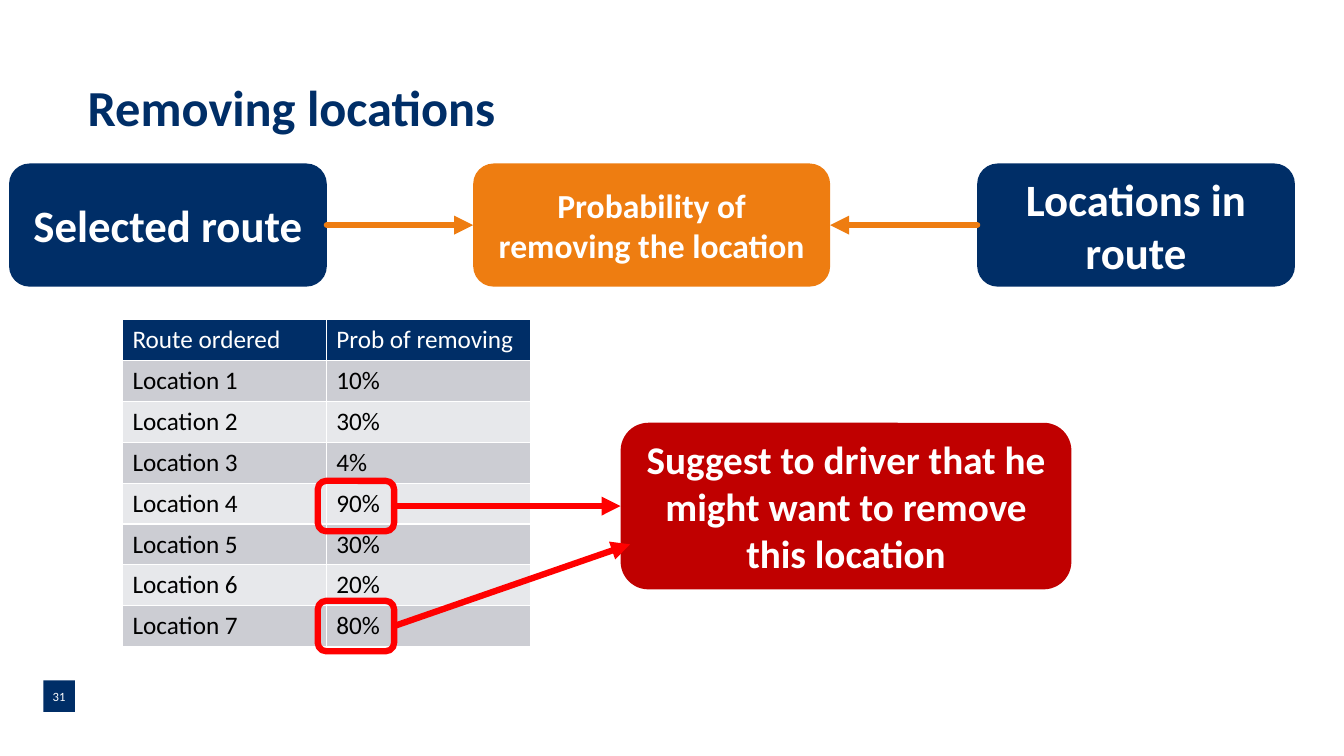
from dataclasses import dataclass

from lxml import etree
from pptx import Presentation
from pptx.dml.color import RGBColor
from pptx.enum.shapes import MSO_CONNECTOR, MSO_SHAPE
from pptx.enum.text import MSO_ANCHOR, PP_ALIGN
from pptx.oxml import parse_xml
from pptx.oxml.ns import nsdecls, qn
from pptx.util import Pt

RECTANGLE = MSO_SHAPE.RECTANGLE
ROUNDED = MSO_SHAPE.ROUNDED_RECTANGLE
STRAIGHT = MSO_CONNECTOR.STRAIGHT
MIDDLE = MSO_ANCHOR.MIDDLE
LEFT, CENTER = PP_ALIGN.LEFT, PP_ALIGN.CENTER


@dataclass(frozen=True)
class Theme:
    font: str = "Calibri"
    navy: str = "002E67"
    orange: str = "EE7D11"
    dark_red: str = "C00000"
    red: str = "FF0000"
    white: str = "FFFFFF"
    black: str = "000000"
    bands: tuple = ("CCCDD3", "E7E8EB")
    title_size: float = 36
    large_size: float = 32
    callout_size: float = 28
    medium_size: float = 24
    table_size: float = 18
    number_size: float = 9
    line_width: float = 4.5
    border_width: float = 1
    box_inset: float = 11.5


class SlideBuilder:
    def __init__(self, slide, theme):
        self.slide = slide
        self.theme = theme

    def set_text(self, frame, text, size, color, bold=False, align=LEFT):
        frame.word_wrap = True
        paragraph = frame.paragraphs[0]
        paragraph.text = text
        paragraph.alignment = align
        font = paragraph.font
        font.name, font.size, font.bold = self.theme.font, Pt(size), bold
        font.color.rgb = RGBColor.from_string(color)
        return paragraph

    def set_inset(self, frame, inset):
        frame.margin_left = frame.margin_right = Pt(inset)
        frame.margin_top = frame.margin_bottom = Pt(inset)
        frame.vertical_anchor = MIDDLE

    def title(self, text, left, top, width, height):
        box = self.slide.shapes.add_textbox(Pt(left), Pt(top), Pt(width), Pt(height))
        self.set_inset(box.text_frame, 0)
        paragraph = self.set_text(box.text_frame, text, self.theme.title_size,
                                  self.theme.navy, bold=True)
        paragraph.line_spacing = 0.9

    def shape(self, kind, left, top, width, height):
        shape = self.slide.shapes.add_shape(kind, Pt(left), Pt(top), Pt(width), Pt(height))
        shape.shadow.inherit = False
        return shape

    def box(self, text, place, color, size, kind=ROUNDED, inset=None, bold=True):
        shape = self.shape(kind, *place)
        shape.fill.solid()
        shape.fill.fore_color.rgb = RGBColor.from_string(color)
        shape.line.fill.background()
        self.set_inset(shape.text_frame, self.theme.box_inset if inset is None else inset)
        self.set_text(shape.text_frame, text, size, self.theme.white, bold, CENTER)

    def highlight(self, place):
        shape = self.shape(ROUNDED, *place)
        shape.fill.background()
        shape.line.color.rgb = RGBColor.from_string(self.theme.red)
        shape.line.width = Pt(self.theme.line_width)

    def arrow(self, start, end, color):
        connector = self.slide.shapes.add_connector(
            STRAIGHT, *(Pt(value) for value in (*start, *end)))
        connector.line.color.rgb = RGBColor.from_string(color)
        connector.line.width = Pt(self.theme.line_width)
        properties = connector._element.spPr
        line = properties.find(qn("a:ln"))
        line.set("cap", "rnd")
        etree.SubElement(line, qn("a:tailEnd"), type="triangle")
        etree.SubElement(properties, qn("a:effectLst"))

    def table(self, rows, left, top, column_width, row_height):
        columns = len(rows[0])
        table = self.slide.shapes.add_table(
            len(rows), columns, Pt(left), Pt(top),
            Pt(column_width * columns), Pt(row_height * len(rows))).table
        for row_index, row in enumerate(rows):
            is_header = row_index == 0
            fill = self.theme.navy if is_header else self.theme.bands[(row_index - 1) % 2]
            color = self.theme.white if is_header else self.theme.black
            for column_index, text in enumerate(row):
                cell = table.cell(row_index, column_index)
                self.set_text(cell.text_frame, text, self.theme.table_size, color)
                self.cell_borders(cell)
                cell.fill.solid()
                cell.fill.fore_color.rgb = RGBColor.from_string(fill)

    def cell_borders(self, cell):
        properties = cell._tc.get_or_add_tcPr()
        for side in ("lnL", "lnR", "lnT", "lnB"):
            properties.append(parse_xml(
                f'<a:{side} {nsdecls("a")} w="{Pt(self.theme.border_width)}"><a:solidFill>'
                f'<a:srgbClr val="{self.theme.white}"/></a:solidFill></a:{side}>'))


def main():
    presentation = Presentation()
    presentation.slide_width, presentation.slide_height = Pt(960), Pt(540)
    theme = Theme()
    builder = SlideBuilder(
        presentation.slides.add_slide(presentation.slide_layouts[6]), theme)

    builder.title("Removing locations", 62.6, 62.6, 835, 33)
    builder.box("31", (31, 486, 22.5, 22.5), theme.navy, theme.number_size,
                kind=RECTANGLE, inset=0, bold=False)

    flow_top, flow_height = 116.8, 88
    flow_middle = flow_top + flow_height / 2
    route_left, locations_left, input_width = 6.5, 698, 227
    probability_left, probability_width = 338, 255
    for text, left in (("Selected route", route_left),
                       ("Locations in route", locations_left)):
        builder.box(text, (left, flow_top, input_width, flow_height),
                    theme.navy, theme.large_size)
    builder.box("Probability of removing the location",
                (probability_left, flow_top, probability_width, flow_height),
                theme.orange, theme.medium_size)
    for start, end in ((route_left + input_width, probability_left),
                       (locations_left, probability_left + probability_width)):
        builder.arrow((start, flow_middle), (end, flow_middle), theme.orange)

    probabilities = ("10%", "30%", "4%", "90%", "30%", "20%", "80%")
    rows = [("Route ordered", "Prob of removing")]
    rows += [(f"Location {number}", value)
             for number, value in enumerate(probabilities, start=1)]
    builder.table(rows, left=87.5, top=228.3, column_width=145.6, row_height=29.2)

    callout_left = 443.3
    builder.box("Suggest to driver that he might want to remove this location",
                (callout_left, 302, 322, 119), theme.dark_red, theme.callout_size)
    mark_left, mark_width, mark_height = 227, 54.5, 36
    for middle, target in ((361.5, (callout_left, 361.5)), (447.2, (450, 388.8))):
        builder.highlight((mark_left, middle - mark_height / 2, mark_width, mark_height))
        builder.arrow((mark_left + mark_width, middle), target, theme.red)

    presentation.save("out.pptx")


if __name__ == "__main__":
    main()
